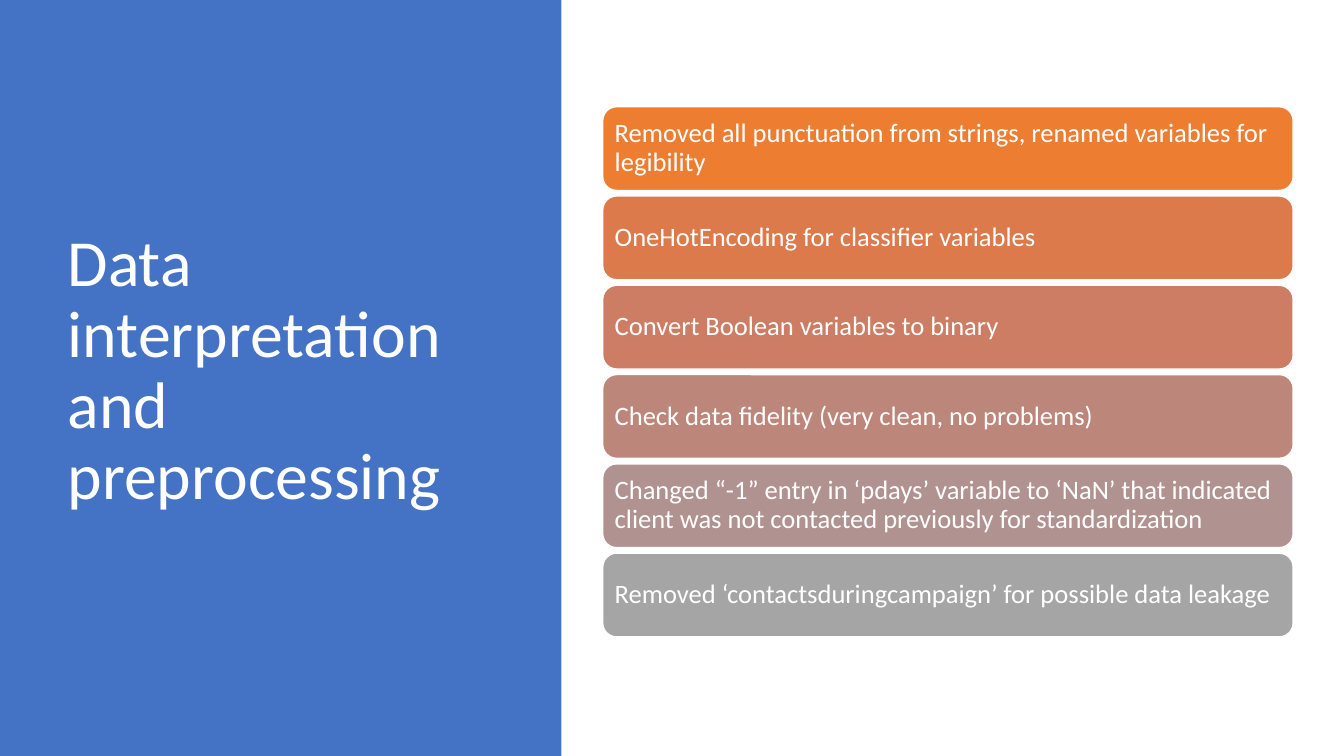
from dataclasses import dataclass

from pptx import Presentation
from pptx.dml.color import RGBColor
from pptx.enum.shapes import MSO_SHAPE
from pptx.enum.text import MSO_ANCHOR, MSO_AUTO_SIZE, PP_ALIGN
from pptx.shapes.autoshape import Shape
from pptx.slide import Slide
from pptx.util import Cm, Pt

RECTANGLE = MSO_SHAPE.RECTANGLE
ROUNDED_RECTANGLE = MSO_SHAPE.ROUNDED_RECTANGLE
MIDDLE = MSO_ANCHOR.MIDDLE
LEFT = PP_ALIGN.LEFT
NO_AUTOFIT = MSO_AUTO_SIZE.NONE

FONT = "Calibri"
COLORS = {
    "white": "FFFFFF",
    "panel": "4472C4",
    "punctuation": "ED7D31",
    "encoding": "DC7A4B",
    "boolean": "CC7D64",
    "fidelity": "BD867B",
    "missing": "B09391",
    "leakage": "A5A5A5",
}

SLIDE_WIDTH, SLIDE_HEIGHT = Cm(33.87), Cm(19.05)
STEP_LEFT, STEP_TOP = Cm(15.19), Cm(2.69)
STEP_WIDTH, STEP_HEIGHT = Cm(17.4), Cm(2.11)
STEP_PITCH = Cm(2.25)
STEP_INSET = Cm(0.2)


@dataclass(frozen=True)
class Step:
    text: str
    color: str


STEPS = [
    Step("Removed all punctuation from strings, renamed variables for legibility", "punctuation"),
    Step("OneHotEncoding for classifier variables", "encoding"),
    Step("Convert Boolean variables to binary", "boolean"),
    Step("Check data fidelity (very clean, no problems)", "fidelity"),
    Step(
        "Changed “-1” entry in ‘pdays’ variable to ‘NaN’ that indicated "
        "client was not contacted previously for standardization",
        "missing",
    ),
    Step("Removed ‘contactsduringcampaign’ for possible data leakage", "leakage"),
]


def rgb(name: str) -> RGBColor:
    return RGBColor.from_string(COLORS[name])


def write_text(shape: Shape, text: str, size: int) -> None:
    frame = shape.text_frame
    frame.text = text
    frame.word_wrap = True
    frame.auto_size = NO_AUTOFIT
    frame.vertical_anchor = MIDDLE
    paragraph = frame.paragraphs[0]
    paragraph.alignment = LEFT
    paragraph.line_spacing = 0.9
    font = paragraph.runs[0].font
    font.name = FONT
    font.size = Pt(size)
    font.color.rgb = rgb("white")


def fill_shape(shape: Shape, color: str) -> None:
    shape.shadow.inherit = False
    shape.fill.solid()
    shape.fill.fore_color.rgb = rgb(color)


def add_title(slide: Slide, text: str) -> None:
    title = slide.shapes.title
    title.left, title.top = Cm(1.45), Cm(1.73)
    title.width, title.height = Cm(10.57), Cm(15.29)
    write_text(title, text, 47)


def add_panel(slide: Slide) -> None:
    panel = slide.shapes.add_shape(RECTANGLE, 0, 0, Cm(14.15), SLIDE_HEIGHT)
    fill_shape(panel, "panel")
    panel.line.fill.background()
    slide.shapes.title.element.addprevious(panel.element)


def add_step(slide: Slide, step: Step, index: int) -> None:
    top = STEP_TOP + index * STEP_PITCH
    box = slide.shapes.add_shape(ROUNDED_RECTANGLE, STEP_LEFT, top, STEP_WIDTH, STEP_HEIGHT)
    fill_shape(box, step.color)
    box.line.color.rgb = rgb("white")
    box.line.width = Pt(1)
    write_text(box, step.text, 19)
    frame = box.text_frame
    frame.margin_left = frame.margin_right = STEP_INSET
    frame.margin_top = frame.margin_bottom = STEP_INSET


def main() -> None:
    presentation = Presentation()
    presentation.slide_width = SLIDE_WIDTH
    presentation.slide_height = SLIDE_HEIGHT
    title_only = presentation.slide_layouts.get_by_name("Title Only")
    slide = presentation.slides.add_slide(title_only)
    add_title(slide, "Data interpretation and preprocessing")
    add_panel(slide)
    for index, step in enumerate(STEPS):
        add_step(slide, step, index)
    presentation.save("out.pptx")


main()
